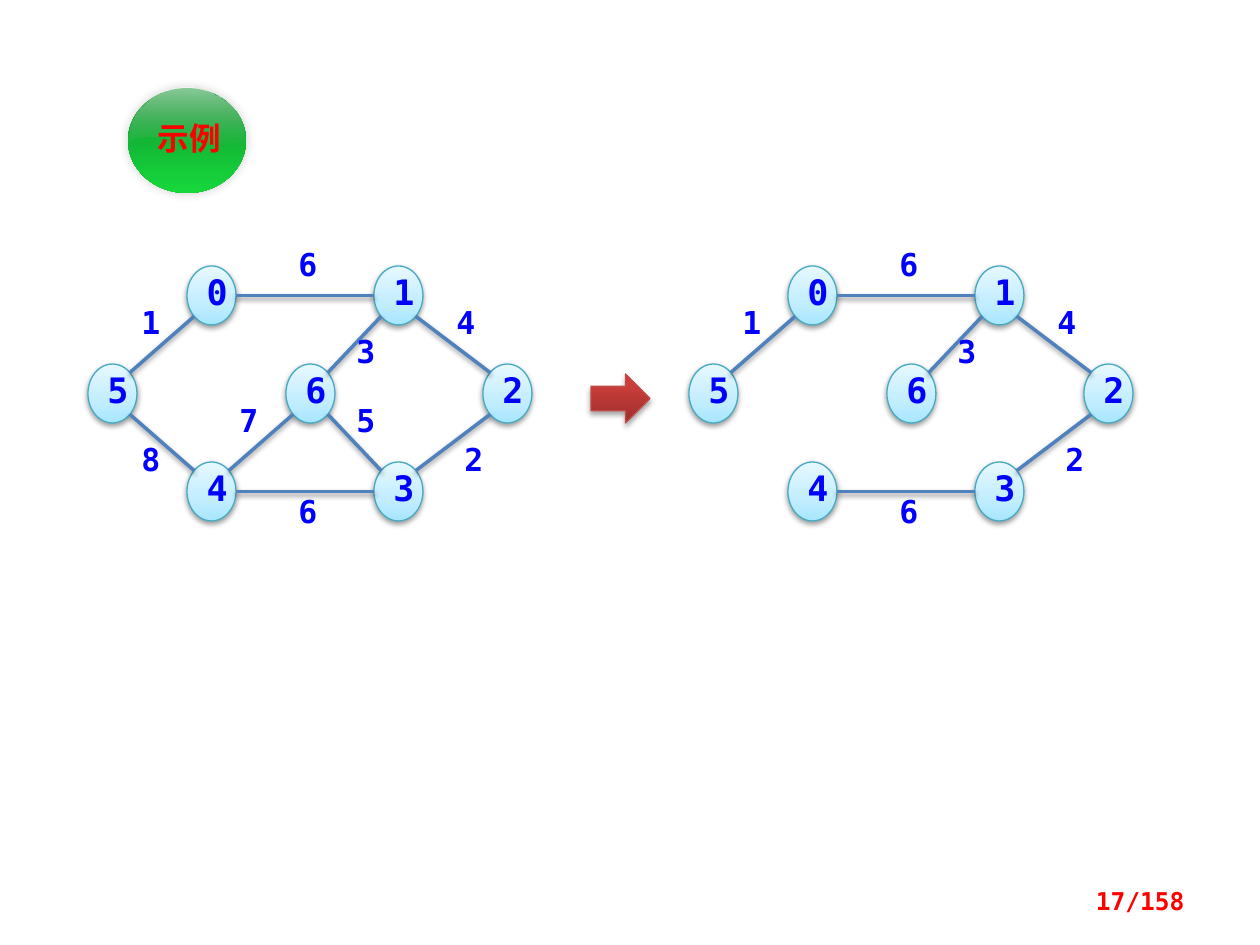
import math

import pptx
import pptx.dml.color
import pptx.enum.shapes
import pptx.enum.text
import pptx.oxml
import pptx.oxml.ns
import pptx.util

EMU_PER_PX = 914400 // 126
MONO, CJK = "DejaVu Sans Mono", "Noto Sans CJK SC"
BLUE, RED = "0000FF", "FF0000"
NODE_SIZE = (49, 59)
LABEL_SIZE = (39, 50)

# Graph content: node places, then edges as (from, to, weight, label place)
NODES = {
    "5": (88, 364), "0": (187, 266), "4": (187, 462), "1": (374, 266),
    "3": (374, 462), "6": (286, 364), "2": (483, 364),
}
EDGES = [
    ("5", "0", "1", (129, 304)),
    ("0", "1", "6", (286, 246)),
    ("6", "1", "3", (344, 333)),
    ("6", "4", "7", (227, 402)),
    ("5", "4", "8", (129, 441)),
    ("4", "3", "6", (286, 493)),
    ("6", "3", "5", (344, 402)),
    ("1", "2", "4", (444, 304)),
    ("3", "2", "2", (452, 441)),
]
DROPPED = {("6", "4"), ("5", "4"), ("6", "3")}
TREE_EDGES = [edge for edge in EDGES if edge[:2] not in DROPPED]
GRAPHS = [(0, EDGES), (601, TREE_EDGES)]

# Gradients: (stops of position, colour, opacity), angle
NODE_FILL = ([(0, "A7E6FF", 100), (35, "C1EDFF", 100), (100, "E7F8FF", 100)], 270)
ARROW_FILL = ([(0, "9C2F2D", 100), (80, "CB3E3A", 100), (100, "CE3B37", 100)], 270)
BALL_FILL = ([(0, "10942F", 100), (100, "16D83B", 100)], 90)
GLOSS_FILL = ([(0, "FFFFFF", 53), (100, "B6B6B6", 0)], 90)

# Shadows: opacity, blur, distance, angle
SOFT_SHADOW = (38, 3.1, 1.6, 90)
ARROW_SHADOW = (35, 3.1, 1.8, 90)
BALL_SHADOW = (20, 6, 0, 315)

# Gloss outline: start, then curves of two controls and an end
GLOSS_START = (231, 106)
GLOSS_CURVES = [
    ((239, 116), (244, 127), (244, 140)),
    ((204, 160), (178, 127), (130, 140)),
    ((130, 126), (135, 113), (145, 105)),
    ((155, 94), (170, 88), (186, 88)),
    ((204, 88), (219, 96), (231, 106)),
]


def px(*values):
    return [pptx.util.Emu(round(value * EMU_PER_PX)) for value in values]


def color(text):
    return pptx.dml.color.RGBColor.from_string(text)


def set_gradient(shape, gradient):
    stops, angle = gradient
    marks = "".join(
        f'<a:gs pos="{place * 1000}"><a:srgbClr val="{tone}">'
        f'<a:alpha val="{opacity * 1000}"/></a:srgbClr></a:gs>'
        for place, tone, opacity in stops)
    shape.fill.background()
    properties = shape._element.spPr
    properties.replace(
        properties.find(pptx.oxml.ns.qn("a:noFill")),
        pptx.oxml.parse_xml(
            f'<a:gradFill {pptx.oxml.ns.nsdecls("a")} rotWithShape="1">'
            f'<a:gsLst>{marks}</a:gsLst>'
            f'<a:lin ang="{angle * 60000}" scaled="0"/></a:gradFill>'))


def set_shadow(shape, shadow):
    opacity, blur, distance, angle = shadow
    shape._element.spPr.append(pptx.oxml.parse_xml(
        f'<a:effectLst {pptx.oxml.ns.nsdecls("a")}>'
        f'<a:outerShdw blurRad="{round(blur * 12700)}" '
        f'dist="{round(distance * 12700)}" dir="{angle * 60000}" rotWithShape="0">'
        f'<a:srgbClr val="000000"><a:alpha val="{opacity * 1000}"/></a:srgbClr>'
        f'</a:outerShdw></a:effectLst>'))


def write(box, text, size, tone=BLUE, font=MONO, align="CENTER", spacing=0.8,
          anchor="MIDDLE"):
    frame = box.text_frame
    frame.word_wrap = True
    frame.vertical_anchor = pptx.enum.text.MSO_ANCHOR[anchor]
    para = frame.paragraphs[0]
    para.text = text
    para.alignment = pptx.enum.text.PP_ALIGN[align]
    para.line_spacing = spacing
    para.font.name = font
    para.font.size = pptx.util.Pt(size)
    para.font.bold = True
    para.font.color.rgb = color(tone)
    east_asian = pptx.oxml.parse_xml(
        f'<a:ea {pptx.oxml.ns.nsdecls("a")} typeface="{font}"/>')
    para._p.pPr.get_or_add_defRPr().append(east_asian)


def add_shape(page, kind, place, gradient, shadow, outline=None):
    shape = page.shapes.add_shape(pptx.enum.shapes.MSO_SHAPE[kind], *px(*place))
    set_gradient(shape, gradient)
    if outline:
        shape.line.color.rgb = color(outline)
        shape.line.width = pptx.util.Pt(0.75)
    else:
        shape.line.fill.background()
    set_shadow(shape, shadow)
    return shape


def rim_points(start, end):
    """Ends of an edge on the rims of its two nodes."""
    step = [(b > a) - (b < a) for a, b in zip(NODES[start], NODES[end])]
    reach = 0.5 / math.hypot(*step)
    points = []
    for name, side in ((start, 1), (end, -1)):
        points += [corner + size / 2 + side * way * reach * size
                   for corner, size, way in zip(NODES[name], NODE_SIZE, step)]
    return points


def add_graph(page, shift, edges):
    for name, (left, top) in NODES.items():
        node = add_shape(page, "OVAL", (left + shift, top, *NODE_SIZE),
                         NODE_FILL, SOFT_SHADOW, "46AAC5")
        write(node, name, 20)
    for start, end, _, _ in edges:
        x1, y1, x2, y2 = rim_points(start, end)
        line = page.shapes.add_connector(
            pptx.enum.shapes.MSO_CONNECTOR.STRAIGHT,
            *px(x1 + shift, y1, x2 + shift, y2))
        line.line.color.rgb = color("4F81BD")
        line.line.width = pptx.util.Pt(2)
        set_shadow(line, SOFT_SHADOW)
    for _, _, weight, (left, top) in edges:
        label = page.shapes.add_textbox(*px(left + shift, top, *LABEL_SIZE))
        write(label, weight, 18, anchor="TOP")


def add_gloss(page):
    points, start = [], GLOSS_START
    for first, second, end in GLOSS_CURVES:
        for t in (step / 16 for step in range(1, 17)):
            points.append(tuple(
                (1 - t) ** 3 * a + 3 * (1 - t) ** 2 * t * b
                + 3 * (1 - t) * t ** 2 * c + t ** 3 * d
                for a, b, c, d in zip(start, first, second, end)))
        start = end
    builder = page.shapes.build_freeform(*GLOSS_START, scale=EMU_PER_PX)
    builder.add_line_segments(points, close=True)
    gloss = builder.convert_to_shape()
    set_gradient(gloss, GLOSS_FILL)
    gloss.line.fill.background()
    gloss.shadow.inherit = False


def main():
    deck = pptx.Presentation()
    deck.slide_width, deck.slide_height = px(1260, 945)
    page = deck.slides.add_slide(deck.slide_layouts[6])

    # Full graph and its spanning tree
    for shift, edges in GRAPHS:
        add_graph(page, shift, edges)

    # Arrow between the graphs
    add_shape(page, "RIGHT_ARROW", (591, 374, 59, 49),
              ARROW_FILL, ARROW_SHADOW, "BF4C48")

    # Glossy ball with its caption
    add_shape(page, "OVAL", (128, 88, 118, 105), BALL_FILL, BALL_SHADOW)
    add_gloss(page)
    write(page.shapes.add_textbox(*px(135, 120, 108, 43)), "示例", 18, RED, CJK)

    # Page number
    write(page.shapes.add_textbox(*px(903, 876, 294, 50)), "17/158", 14, RED,
          align="RIGHT", spacing=1.0)

    deck.save("out.pptx")


if __name__ == "__main__":
    main()
